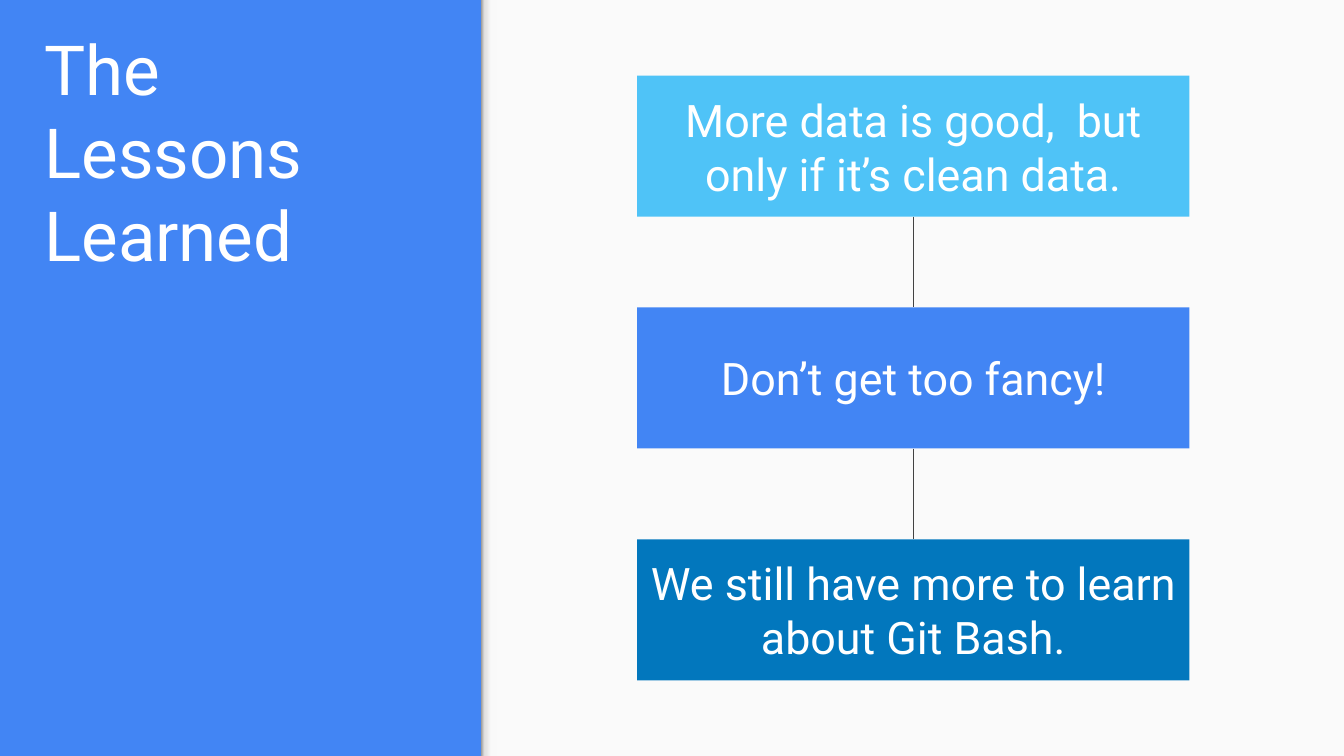
"""Build the "Lessons Learned" slide with a title panel and three linked boxes."""
from copy import deepcopy
from dataclasses import dataclass
from itertools import pairwise

from pptx import Presentation
from pptx.dml.color import RGBColor
from pptx.enum.shapes import MSO_CONNECTOR as Connector, MSO_SHAPE as Shape
from pptx.enum.text import MSO_ANCHOR as Anchor, MSO_AUTO_SIZE as AutoSize, PP_ALIGN as Align
from pptx.oxml.ns import qn
from pptx.oxml.xmlchemy import OxmlElement
from pptx.util import Inches, Pt

BLUE = RGBColor(0x42, 0x85, 0xF4)
LIGHT_BLUE = RGBColor(0x4F, 0xC3, 0xF7)
DARK_BLUE = RGBColor(0x02, 0x77, 0xBD)
WHITE = RGBColor(0xFF, 0xFF, 0xFF)
PAPER = RGBColor(0xFA, 0xFA, 0xFA)
LINE_GRAY = RGBColor(0x42, 0x42, 0x42)
EDGE_STOPS = ((0, "999999"), (20, "DEDEDE"), (64, "F9F9F9"), (100, "F9F9F9"))

SLIDE_WIDTH = 10
SLIDE_HEIGHT = SLIDE_WIDTH * 9 / 16
PANEL_WIDTH = 3.58
BOX_LEFT, BOX_WIDTH, BOX_HEIGHT = 4.74, 4.11, 1.05
BOX_STEP = 3.45 / 2
FONT = "Roboto"


@dataclass(frozen=True)
class Lesson:
    text: str
    color: RGBColor


LESSONS = (
    Lesson("More data is good,  but only if it’s clean data.", LIGHT_BLUE),
    Lesson("Don’t get too fancy!", BLUE),
    Lesson("We still have more to learn about Git Bash.", DARK_BLUE),
)
FIRST_TOP = (SLIDE_HEIGHT - BOX_HEIGHT - BOX_STEP * (len(LESSONS) - 1)) / 2


def apply_format(target, values: dict) -> None:
    for name, value in values.items():
        setattr(target, name, value)


def write_text(shape, text: str, size: float, align: Align, anchor: Anchor) -> None:
    frame = shape.text_frame
    margins = {f"margin_{side}": Inches(0.1) for side in ("left", "top", "right", "bottom")}
    apply_format(frame, {"text": text, "word_wrap": True, "auto_size": AutoSize.NONE,
                         "vertical_anchor": anchor, **margins})
    paragraph = frame.paragraphs[0]
    paragraph.alignment = align
    font = paragraph.runs[0].font
    apply_format(font, {"name": FONT, "size": Pt(size)})
    font.color.rgb = WHITE


def add_rectangle(slide, left: float, top: float, width: float, height: float, color: RGBColor):
    shape = slide.shapes.add_shape(
        Shape.RECTANGLE, Inches(left), Inches(top), Inches(width), Inches(height))
    shape.shadow.inherit = False
    shape.fill.solid()
    shape.fill.fore_color.rgb = color
    shape.line.fill.background()
    return shape


def add_panel_edge(slide) -> None:
    edge = add_rectangle(slide, PANEL_WIDTH, 0, 0.12, SLIDE_HEIGHT, PAPER)
    edge.fill.gradient()
    edge.fill.gradient_angle = 0
    stop_list = edge._element.spPr.find(qn("a:gradFill")).find(qn("a:gsLst"))
    template = deepcopy(stop_list[0])
    for node in list(stop_list):
        stop_list.remove(node)
    for position, color in EDGE_STOPS:
        stop = deepcopy(template)
        stop.set("pos", str(position * 1000))
        for node in list(stop):
            stop.remove(node)
        color_node = OxmlElement("a:srgbClr")
        color_node.set("val", color)
        stop.append(color_node)
        stop_list.append(stop)


def add_link(slide, upper, lower) -> None:
    link = slide.shapes.add_connector(Connector.STRAIGHT, 0, 0, 0, 0)
    link.begin_connect(upper, 2)
    link.end_connect(lower, 0)
    link.line.color.rgb = LINE_GRAY
    link.line.width = Pt(0.75)
    link._element.spPr.append(OxmlElement("a:effectLst"))


def add_title(slide, text: str) -> None:
    title = slide.shapes.title
    apply_format(title, {"left": Inches(0.23), "top": Inches(0.2),
                         "width": Inches(3.07), "height": Inches(1.95)})
    write_text(title, text, 37, Align.LEFT, Anchor.BOTTOM)


def add_lesson(slide, index: int, lesson: Lesson):
    top = FIRST_TOP + index * BOX_STEP
    box = add_rectangle(slide, BOX_LEFT, top, BOX_WIDTH, BOX_HEIGHT, lesson.color)
    write_text(box, lesson.text, 24, Align.CENTER, Anchor.MIDDLE)
    return box


def main() -> None:
    presentation = Presentation()
    apply_format(presentation, {"slide_width": Inches(SLIDE_WIDTH),
                                "slide_height": Inches(SLIDE_HEIGHT)})
    slide = presentation.slides.add_slide(presentation.slide_layouts[5])
    slide.background.fill.solid()
    slide.background.fill.fore_color.rgb = BLUE

    add_rectangle(slide, PANEL_WIDTH, 0, SLIDE_WIDTH - PANEL_WIDTH, SLIDE_HEIGHT, PAPER)
    add_panel_edge(slide)
    add_title(slide, "The Lessons Learned")
    boxes = [add_lesson(slide, index, lesson) for index, lesson in enumerate(LESSONS)]
    for upper, lower in pairwise(boxes):
        add_link(slide, upper, lower)
    presentation.save("out.pptx")


if __name__ == "__main__":
    main()
